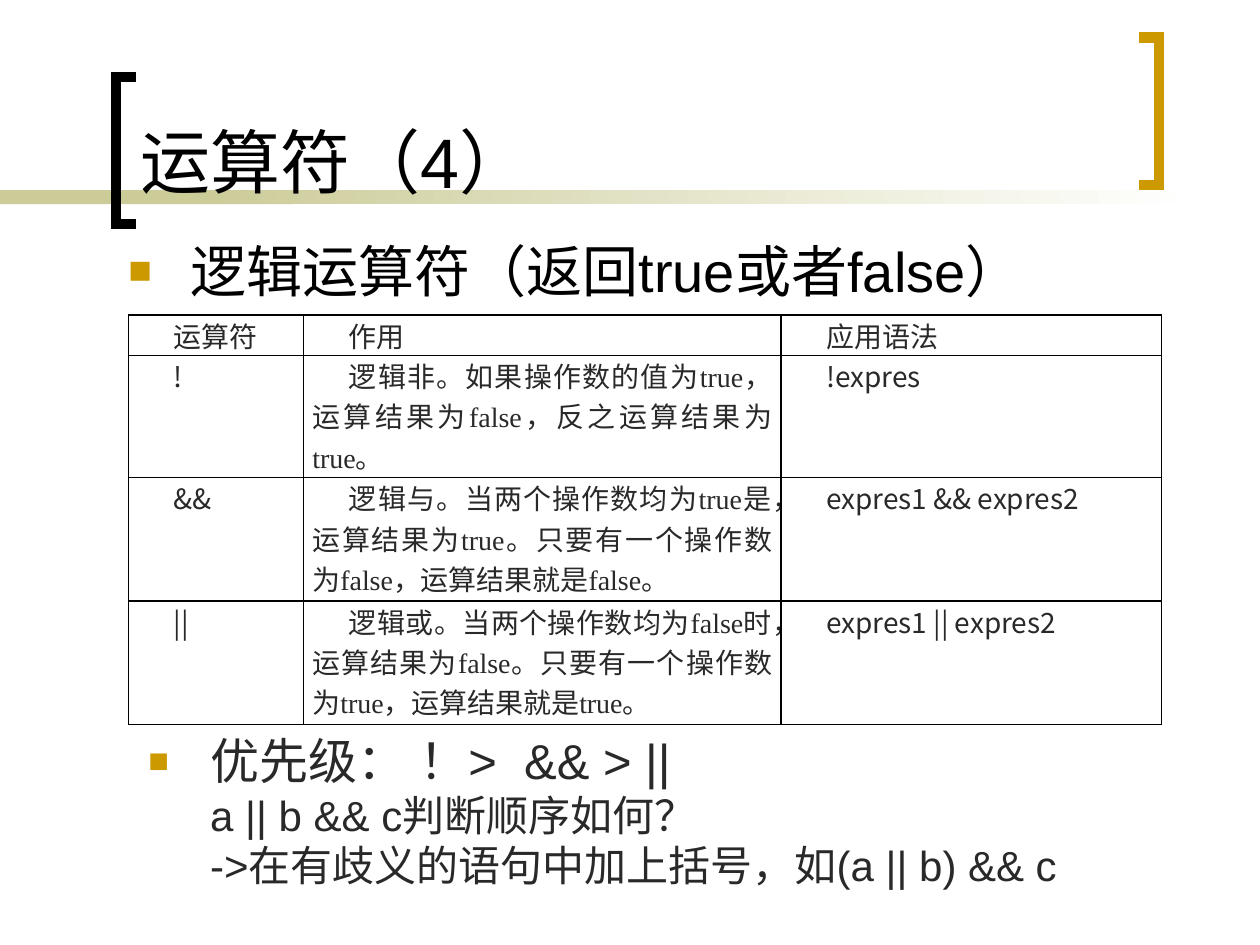
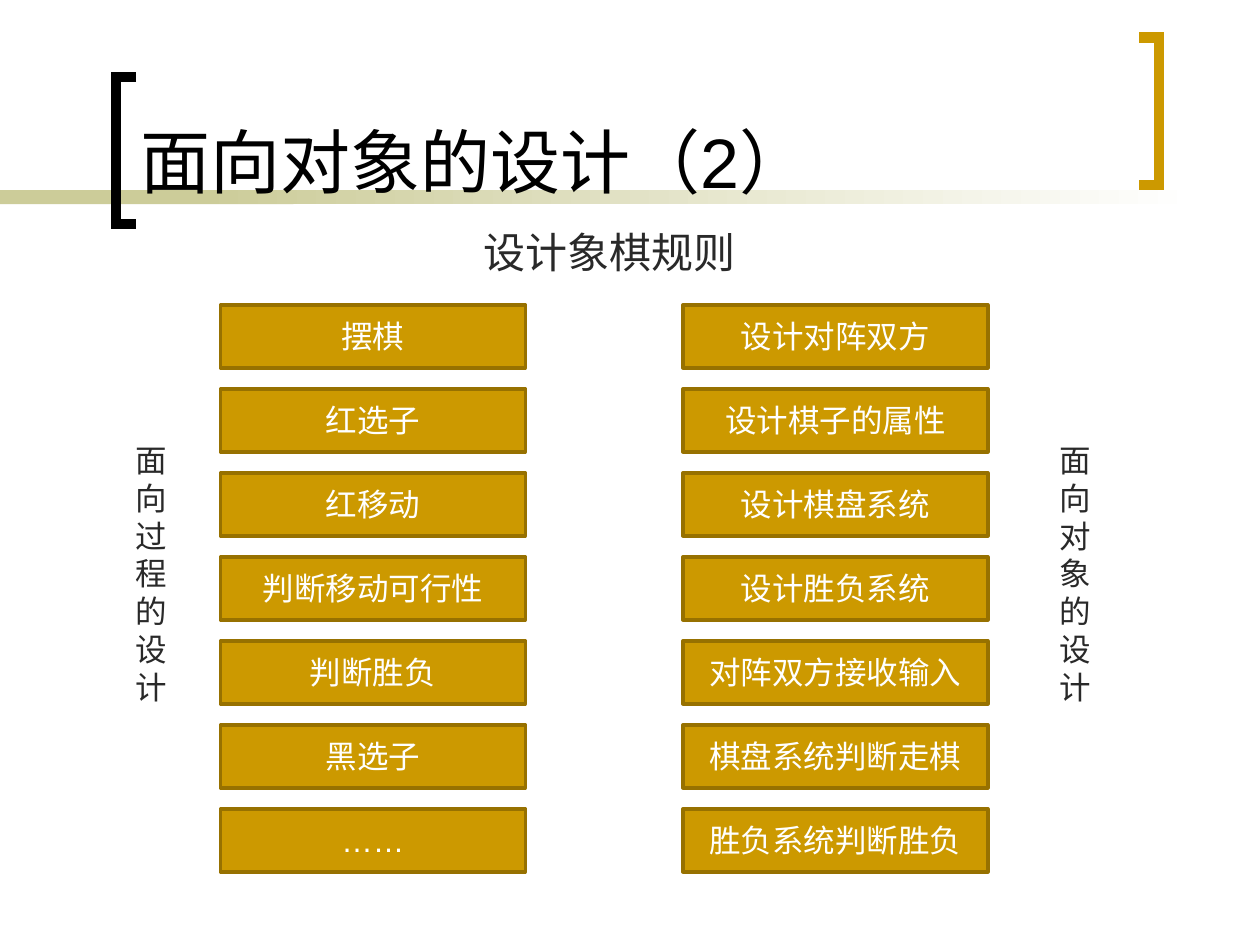
"""Builds two Java lesson slides: logical operators and object-oriented design."""
from lxml.etree import SubElement
from pptx import Presentation
from pptx.dml.color import RGBColor
from pptx.enum.shapes import MSO_SHAPE as Shape
from pptx.enum.text import MSO_ANCHOR as Anchor, PP_ALIGN as Align
from pptx.oxml.ns import qn
from pptx.util import Inches, Pt

BLACK, WHITE, INK = "000000", "FFFFFF", "292929"
GOLD, DARK_GOLD, SAND = "CC9900", "977100", "CCCC99"
SANS, SERIF, CJK = "Arial", "Times New Roman", "Noto Sans CJK SC"

OPERATORS_TITLE = "运算符（4）"
OPERATORS_LEAD = "逻辑运算符（返回true或者false）"
OPERATORS = [
    ("运算符", "作用", "应用语法"),
    ("!", "逻辑非。如果操作数的值为true，运算结果为false，反之运算结果为true。", "!expres"),
    ("&&", "逻辑与。当两个操作数均为true是，运算结果为true。"
     "只要有一个操作数为false，运算结果就是false。", "expres1 && expres2"),
    ("||", "逻辑或。当两个操作数均为false时，运算结果为false。"
     "只要有一个操作数为true，运算结果就是true。", "expres1 || expres2"),
]
COLUMN_WIDTHS = [1.39, 3.79, 3.02]
ROW_HEIGHTS = [0.32, 0.97, 0.98, 0.98]
PRIORITY = "优先级： ！>  && > ||"
PRIORITY_NOTES = ["a || b && c判断顺序如何？", "->在有歧义的语句中加上括号，如(a || b) && c"]

DESIGN_TITLE = "面向对象的设计（2）"
DESIGN_TOPIC = "设计象棋规则"
DESIGNS = [
    {"label": "面向过程的设计", "label_left": 0.98, "left": 1.75,
     "steps": ["摆棋", "红选子", "红移动", "判断移动可行性", "判断胜负", "黑选子", "……"]},
    {"label": "面向对象的设计", "label_left": 8.31, "left": 5.42,
     "steps": ["设计对阵双方", "设计棋子的属性", "设计棋盘系统", "设计胜负系统",
               "对阵双方接收输入", "棋盘系统判断走棋", "胜负系统判断胜负"]},
]
STEP_TOP, STEP_PITCH, STEP_WIDTH, STEP_HEIGHT = 2.42, 2 / 3, 2.42, 0.5


def rgb(value):
    return RGBColor.from_string(value)


def write(paragraph, words, size, color=INK, latin=SANS, asian=SANS):
    run = paragraph.add_run()
    run.text = words
    run.font.size = Pt(size)
    run.font.name = latin
    run.font.color.rgb = rgb(color)
    SubElement(run.font._element, qn("a:ea"), typeface=asian)


def indent(paragraph, margin, first):
    properties = paragraph._p.get_or_add_pPr()
    properties.set("marL", str(Inches(margin)))
    properties.set("indent", str(Inches(first)))
    return properties


def write_bullet(paragraph, words, size, color):
    paragraph.space_before = Pt(round(size * 0.2))
    properties = indent(paragraph, 0.49, -0.49)
    SubElement(SubElement(properties, qn("a:buClr")), qn("a:srgbClr"), val=GOLD)
    SubElement(properties, qn("a:buSzPct"), val="70000")
    SubElement(properties, qn("a:buFont"), typeface=SANS)
    SubElement(properties, qn("a:buChar"), char="■")
    write(paragraph, words, size, color)


def add_text(slide, left, top, width, height):
    frame = slide.shapes.add_textbox(*map(Inches, (left, top, width, height))).text_frame
    frame.word_wrap = True
    return frame


def add_rect(slide, left, top, width, height):
    rect = slide.shapes.add_shape(Shape.RECTANGLE, *map(Inches, (left, top, width, height)))
    rect.shadow.inherit = False
    rect.fill.solid()
    rect.fill.fore_color.rgb = rgb(SAND)
    rect.line.fill.background()
    return rect


def add_bracket(slide, open_x, spine_x, top, color):
    bottom = top + 1.17
    corners = [(open_x, top), (spine_x, top), (spine_x, bottom), (open_x, bottom)]
    points = [(Inches(x), Inches(y)) for x, y in corners]
    builder = slide.shapes.build_freeform(*points[0])
    builder.add_line_segments(points[1:], close=False)
    bracket = builder.convert_to_shape()
    bracket.shadow.inherit = False
    bracket.fill.background()
    bracket.line.color.rgb = rgb(color)
    bracket.line.width = Pt(6)
    SubElement(bracket.line._get_or_add_ln(), qn("a:miter"), lim="800000")


def add_titled_slide(deck, title):
    slide = deck.slides.add_slide(deck.slide_layouts[6])
    add_rect(slide, 0, 1.51, 2.33, 0.11)
    fading_band = add_rect(slide, 1.58, 1.51, 7.92, 0.11)
    fading_band.fill.gradient()
    fading_band.fill.gradient_angle = 0
    for stop, position, color in zip(fading_band.fill.gradient_stops, (0, 1), (SAND, WHITE)):
        stop.position = position
        stop.color.rgb = rgb(color)
    add_bracket(slide, 1.08, 0.92, 0.61, BLACK)
    add_bracket(slide, 9.04, 9.2, 0.3, GOLD)
    heading = add_text(slide, 1.02, 0.11, 7.83, 1.55)
    heading.vertical_anchor = Anchor.BOTTOM
    write(heading.paragraphs[0], title, 40, BLACK)
    return slide


def fill_cell(cell, words):
    cell.margin_left = cell.margin_right = Inches(0.07)
    cell.margin_top = cell.margin_bottom = 0
    paragraph = cell.text_frame.paragraphs[0]
    paragraph.alignment = Align.JUSTIFY
    indent(paragraph, 0, 0.29)
    write(paragraph, words, 16, latin=CJK if words.isascii() else SERIF, asian=CJK)
    properties = cell._tc.get_or_add_tcPr()
    for side in ("lnL", "lnR", "lnT", "lnB"):
        border = SubElement(properties, qn(f"a:{side}"), w=str(Pt(1)))
        SubElement(SubElement(border, qn("a:solidFill")), qn("a:srgbClr"), val=BLACK)
    cell.fill.background()


def add_operator_table(slide):
    size = sum(COLUMN_WIDTHS), sum(ROW_HEIGHTS)
    table = slide.shapes.add_table(len(OPERATORS), len(COLUMN_WIDTHS),
                                   *map(Inches, (1.02, 2.5, *size))).table
    table.first_row = table.horz_banding = False
    for column, width in zip(table.columns, COLUMN_WIDTHS):
        column.width = Inches(width)
    for row, height, operator in zip(table.rows, ROW_HEIGHTS, OPERATORS):
        row.height = Inches(height)
        for cell, words in zip(row.cells, operator):
            fill_cell(cell, words)


def build_operators(deck):
    slide = add_titled_slide(deck, OPERATORS_TITLE)
    lead = add_text(slide, 0.92, 1.83, 8.38, 0.58)
    write_bullet(lead.paragraphs[0], OPERATORS_LEAD, 32, BLACK)
    add_operator_table(slide)
    priority = add_text(slide, 1.08, 5.75, 8.08, 1.38)
    write_bullet(priority.paragraphs[0], PRIORITY, 28, INK)
    for note in PRIORITY_NOTES:
        paragraph = priority.add_paragraph()
        paragraph.level = 1
        indent(paragraph, 0.49, 0)
        write(paragraph, note, 24)


def add_step(slide, left, top, step):
    box = add_rect(slide, left, top, STEP_WIDTH, STEP_HEIGHT)
    box.fill.fore_color.rgb = rgb(GOLD)
    box.line.color.rgb = rgb(DARK_GOLD)
    box.line.width = Pt(2)
    box.text_frame.vertical_anchor = Anchor.MIDDLE
    paragraph = box.text_frame.paragraphs[0]
    paragraph.alignment = Align.CENTER
    write(paragraph, step, 18, WHITE)


def build_design(deck):
    slide = add_titled_slide(deck, DESIGN_TITLE)
    topic = add_text(slide, 3.25, 1.75, 3.17, 0.5).paragraphs[0]
    topic.alignment = Align.CENTER
    write(topic, DESIGN_TOPIC, 24)
    for design in DESIGNS:
        label = add_text(slide, design["label_left"], 3.45, 0.35, 2.22)
        write(label.paragraphs[0], design["label"], 18)
        for index, step in enumerate(design["steps"]):
            add_step(slide, design["left"], STEP_TOP + index * STEP_PITCH, step)


def main():
    deck = Presentation()
    deck.slide_width, deck.slide_height = Inches(10), Inches(7.5)
    build_operators(deck)
    build_design(deck)
    deck.save("out.pptx")


if __name__ == "__main__":
    main()
